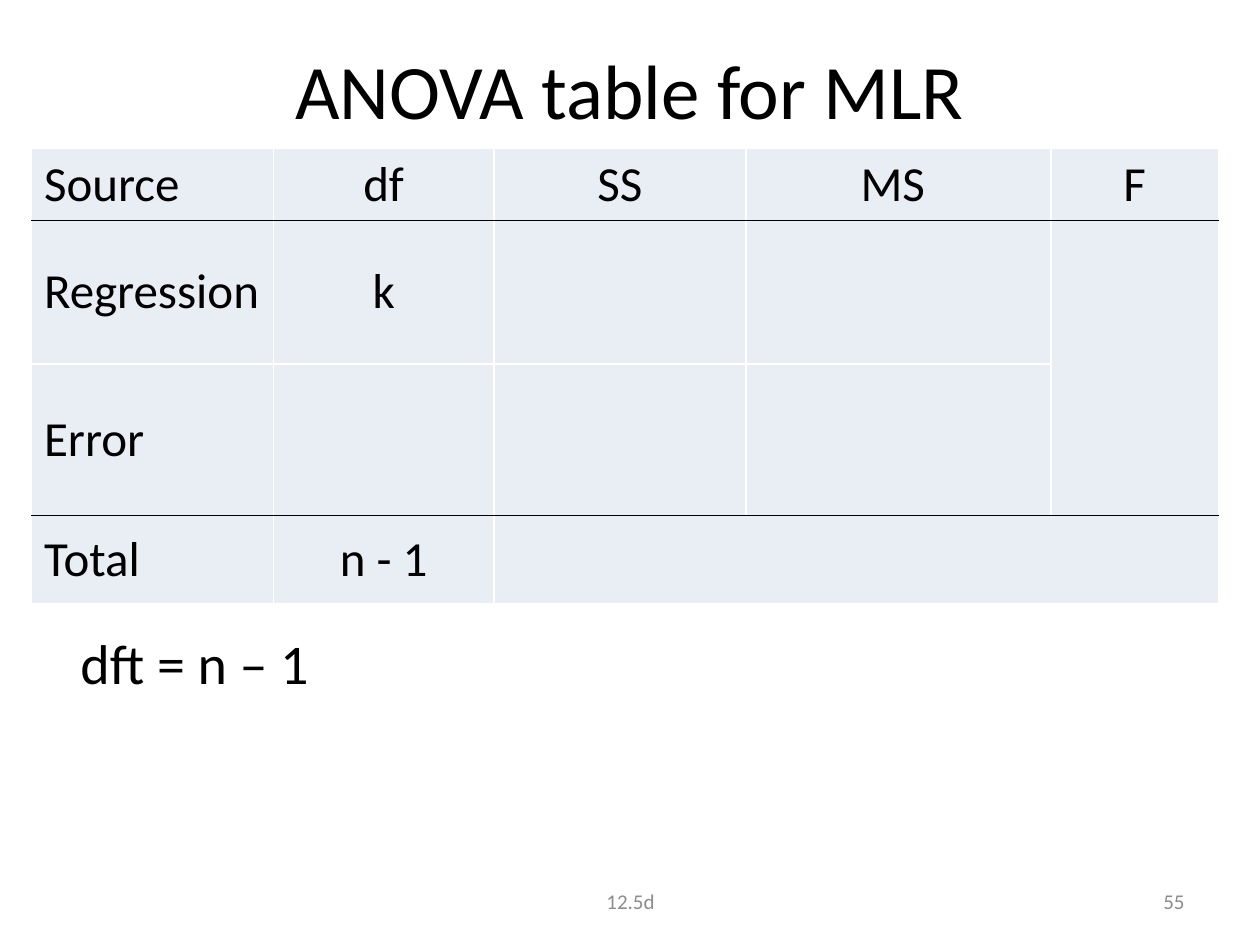
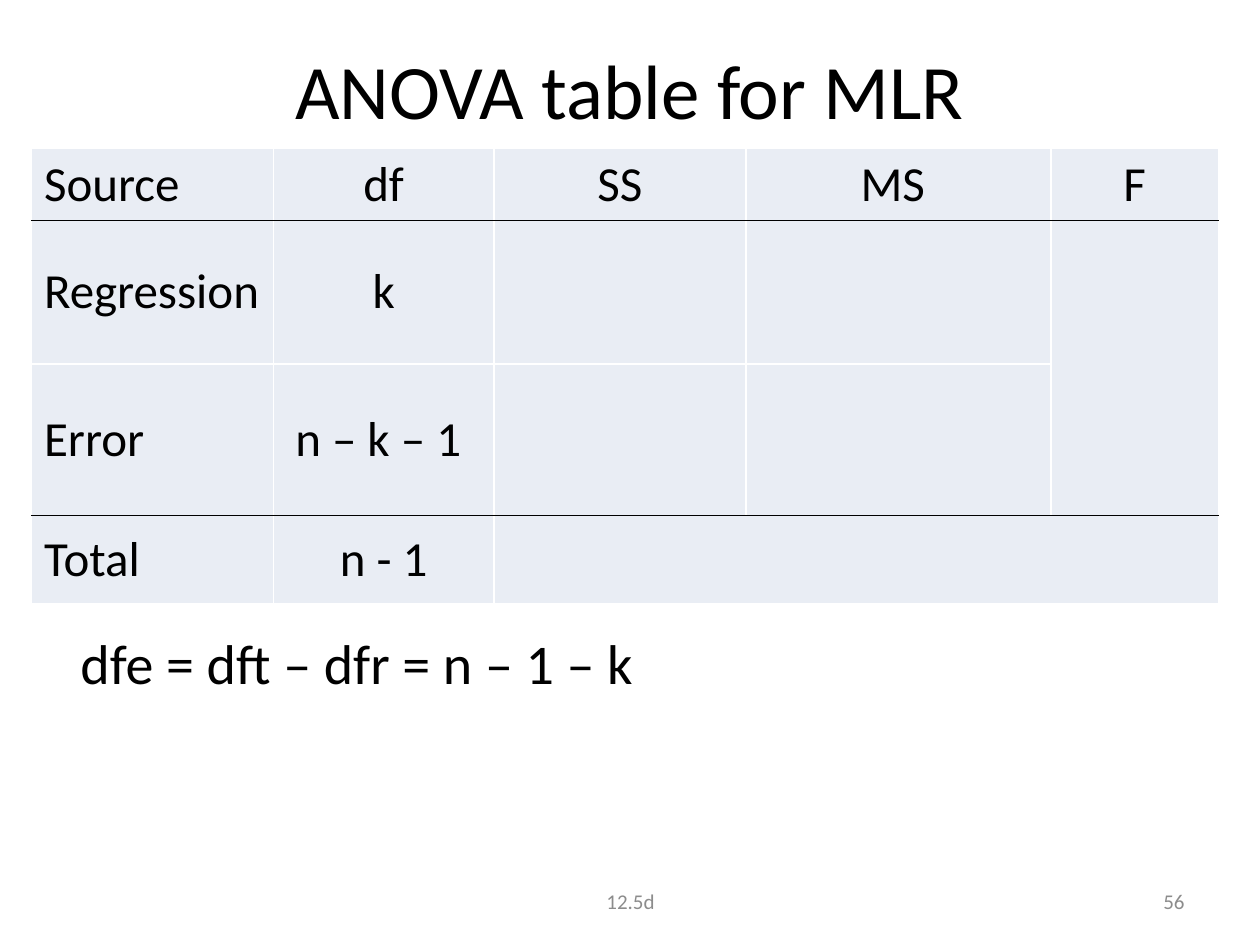
import pptx
import pptx.dml.color
import pptx.enum.text
import pptx.util
from lxml import etree
from pptx.oxml.ns import qn

Inches = pptx.util.Inches
ALIGN = pptx.enum.text.PP_ALIGN
ANCHOR = pptx.enum.text.MSO_ANCHOR

BLACK, WHITE, GREY, CELL_FILL = "000000", "FFFFFF", "8C8C8C", "E9EDF4"
FONT = "Calibri"
TITLE = {"size": 44, "colour": BLACK, "align": ALIGN.CENTER}
FORMULA = {"size": 32, "colour": BLACK, "align": ALIGN.LEFT}
SECTION = {"size": 12, "colour": GREY, "align": ALIGN.CENTER}
NUMBER = {**SECTION, "align": ALIGN.RIGHT}
LABEL = {"size": 28, "colour": BLACK, "align": ALIGN.LEFT}
VALUE = {**LABEL, "align": ALIGN.CENTER}

TITLE_BOX = (0.5, 0.08, 9, 1.25)
TABLE_BOX = (0.25, 1.18, 9.42, 3.61)
FORMULA_BOX = (0.54, 4.94, 4.85, 0.64)
FOOTER_BOX = (3.42, 6.95, 6.08, 0.4)
COLUMN_WIDTHS = (1.92, 1.75, 2, 2.42, 1.33)
ROW_HEIGHTS = (0.57, 1.14, 1.2, 0.7)
RULED_EDGES = (1, 3)

SLIDES = [
    {"number": "55", "error_df": "", "formula": "dft = n – 1"},
    {"number": "56", "error_df": "n – k – 1 ", "formula": "dfe = dft – dfr = n – 1 – k"},
]


def rgb(colour):
    """Turn a hex string into a colour."""
    return pptx.dml.color.RGBColor.from_string(colour)


def write(frame, text, style):
    """Write one styled paragraph into a text frame."""
    para = frame.paragraphs[0]
    para.alignment = style["align"]
    span = para.add_run()
    span.text = text
    span.font.color.rgb = rgb(style["colour"])
    formats = {"name": FONT, "size": pptx.util.Pt(style["size"]), "bold": False}
    for name, value in formats.items():
        setattr(span.font, name, value)


def add_text(page, box, text, style, anchor=ANCHOR.MIDDLE, wrap=True):
    """Add a text box in the given box."""
    frame = page.shapes.add_textbox(*map(Inches, box)).text_frame
    frame.word_wrap = wrap
    frame.vertical_anchor = anchor
    write(frame, text, style)


def add_footer(page, box, section, number):
    """Place the section in the left part of the box and the number at its right."""
    left, top, width, height = box
    number_width = 2.33
    add_text(page, (left, top, 3.17, height), section, SECTION)
    add_text(page, (left + width - number_width, top, number_width, height), number, NUMBER)


def set_borders(cell, colours):
    """Draw one-point borders on a cell, keyed by side."""
    properties = cell._tc.get_or_add_tcPr()
    for side, colour in colours.items():
        line = etree.SubElement(properties, qn(f"a:ln{side}"), w=str(pptx.util.Pt(1)))
        fill = etree.SubElement(line, qn("a:solidFill"))
        etree.SubElement(fill, qn("a:srgbClr"), val=colour)


def edge_colour(edge):
    """Give the colour of a horizontal edge, counted from the table top."""
    return BLACK if edge in RULED_EDGES else WHITE


def add_anova_table(page, box, error_df):
    """Add the ANOVA table with its merged F and total cells."""
    rows = [
        ("Source", "df", "SS", "MS ", "F"),
        ("Regression", "k", "", "", ""),
        ("Error", error_df, "", "", ""),
        ("Total", "n - 1", "", "", ""),
    ]
    frame = page.shapes.add_table(len(rows), len(COLUMN_WIDTHS), *map(Inches, box))
    table = frame.table
    table.first_row = table.horz_banding = False
    for column, width in zip(table.columns, COLUMN_WIDTHS):
        column.width = Inches(width)
    for row, height in zip(table.rows, ROW_HEIGHTS):
        row.height = Inches(height)
    table.cell(1, 4).merge(table.cell(2, 4))
    table.cell(3, 2).merge(table.cell(3, 4))

    for row, texts in enumerate(rows):
        for column, text in enumerate(texts):
            cell = table.cell(row, column)
            bottom = row + (cell.span_height if cell.is_merge_origin else 1)
            set_borders(cell, {"L": WHITE, "R": WHITE,
                               "T": edge_colour(row), "B": edge_colour(bottom)})
            cell.fill.solid()
            cell.fill.fore_color.rgb = rgb(CELL_FILL)
            cell.vertical_anchor = ANCHOR.MIDDLE if row else ANCHOR.TOP
            if text:
                write(cell.text_frame, text, VALUE if column else LABEL)


def add_anova_slide(deck, number, error_df, formula):
    """Add one step of the ANOVA table with its formula."""
    page = deck.slides.add_slide(deck.slide_layouts[6])
    add_text(page, TITLE_BOX, "ANOVA table for MLR", TITLE)
    add_anova_table(page, TABLE_BOX, error_df)
    add_text(page, FORMULA_BOX, formula, FORMULA, ANCHOR.TOP)
    add_footer(page, FOOTER_BOX, "12.5d", number)


def main():
    """Build and save the deck."""
    deck = pptx.Presentation()
    deck.slide_width, deck.slide_height = Inches(10), Inches(7.5)
    for content in SLIDES:
        add_anova_slide(deck, **content)
    deck.save("out.pptx")


if __name__ == "__main__":
    main()
